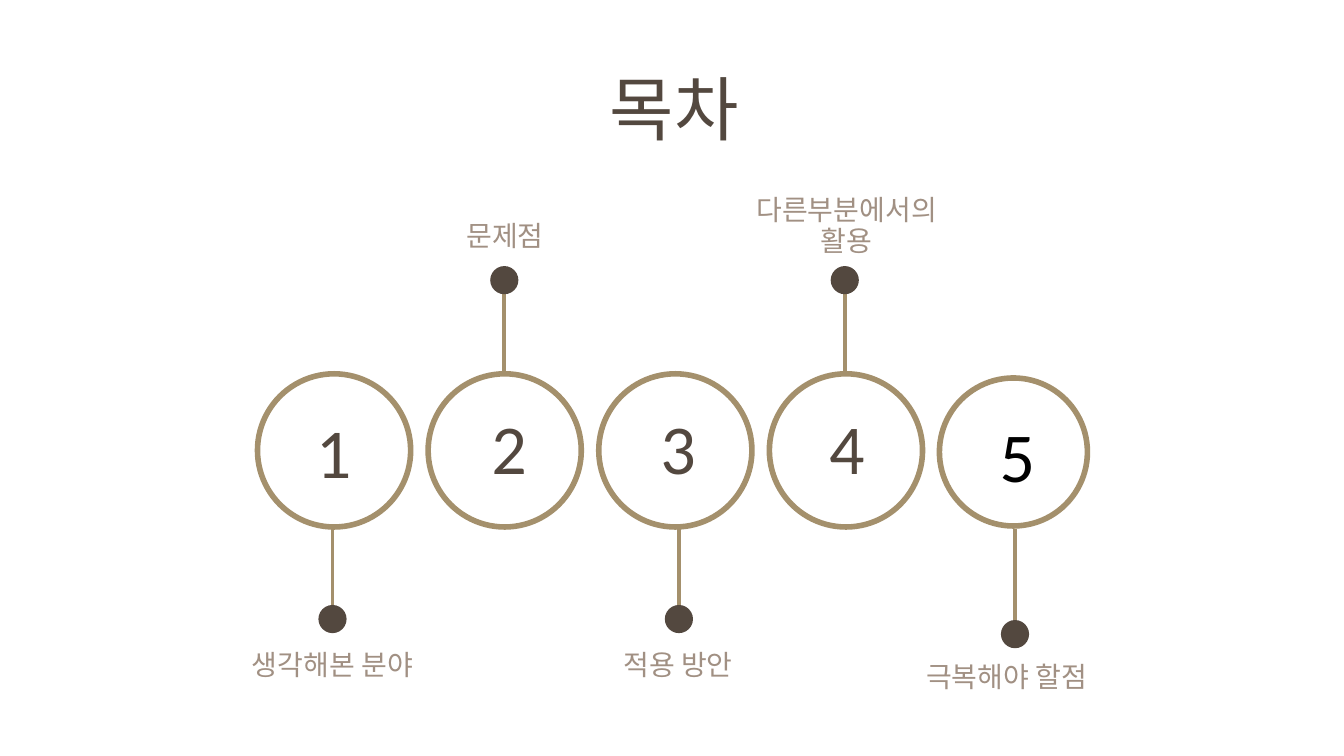
from dataclasses import dataclass

from lxml import etree
from pptx import Presentation
from pptx.dml.color import RGBColor
from pptx.enum.shapes import MSO_CONNECTOR, MSO_SHAPE
from pptx.enum.text import PP_ALIGN
from pptx.oxml.ns import qn
from pptx.shapes.autoshape import Shape
from pptx.slide import Slide
from pptx.util import Cm, Pt

ELLIPSE = MSO_SHAPE.OVAL
STRAIGHT = MSO_CONNECTOR.STRAIGHT
CENTER = PP_ALIGN.CENTER

WHITE = "FFFFFF"
BLACK = "000000"
GOLD = "A4906C"
BROWN = "53483F"
TAUPE = "A19083"

RING_PITCH = 4.3
FIRST_RING_X = 8.42
STEM_LENGTH = 2.66
DOT_SIZE = 0.71
DIGIT_WIDTH, DIGIT_HEIGHT = 1.42, 2.39
LABEL_WIDTH = 6.15


@dataclass
class Topic:
    """One agenda entry; lengths are in centimetres."""

    label: str
    label_x: float
    label_top: float
    label_height: float
    stem_x: float
    dot_y: float
    digit_x: float
    digit_top: float
    digit_color: str = BROWN
    ring_x_shift: float = 0
    ring_y: float = 11.35
    ring_size: float = 3.86


TOPICS = [
    Topic("생각해본 분야", 8.38, 16.26, 1.02, 8.38, 15.6, 8.41, 10.16),
    Topic("문제점", 12.73, 5.44, 1.02, 12.71, 7.06, 12.83, 10.06),
    Topic("적용 방안", 17.09, 16.26, 1.02, 17.11, 15.6, 17.09, 10.06),
    Topic("다른부분에서의 활용", 21.34, 4.78, 1.8, 21.29, 7.06, 21.34, 10.08),
    Topic("극복해야 할점", 25.37, 16.56, 1.02, 25.58, 15.98, 25.64, 10.26,
          BLACK, -0.08, 11.39, 3.73),
]


def rgb(color: str) -> RGBColor:
    return RGBColor.from_string(color)


def add_circle(slide: Slide, x: float, y: float, size: float, fill: str) -> Shape:
    """Draw a borderless circle centred on x, y."""
    circle = slide.shapes.add_shape(
        ELLIPSE, Cm(x - size / 2), Cm(y - size / 2), Cm(size), Cm(size))
    circle.shadow.inherit = False
    circle.fill.solid()
    circle.fill.fore_color.rgb = rgb(fill)
    circle.line.fill.background()
    return circle


def add_ring(slide: Slide, x: float, y: float, size: float) -> None:
    ring = add_circle(slide, x, y, size, WHITE)
    ring.line.color.rgb = rgb(GOLD)
    ring.line.width = Pt(4)


def add_stem(slide: Slide, x: float, start_y: float, end_y: float) -> None:
    stem = slide.shapes.add_connector(
        STRAIGHT, Cm(x), Cm(start_y), Cm(x), Cm(end_y))
    stem.line.color.rgb = rgb(GOLD)
    stem.line.width = Pt(2.75)
    properties = stem.element.find(qn("p:spPr"))
    etree.SubElement(properties, qn("a:effectLst"))


def add_text(slide: Slide, text: str, x: float, top: float, width: float,
             height: float, font: str, size: float, color: str,
             spacing: float | None = None, wrap: bool = True) -> None:
    """Place centred text in a box whose horizontal centre is x."""
    box = slide.shapes.add_textbox(
        Cm(x - width / 2), Cm(top), Cm(width), Cm(height))
    box.text_frame.word_wrap = wrap
    paragraph = box.text_frame.paragraphs[0]
    paragraph.text = text
    paragraph.alignment = CENTER
    if spacing is not None:
        paragraph.line_spacing = Pt(spacing)
    paragraph.font.name = font
    paragraph.font.size = Pt(size)
    paragraph.font.color.rgb = rgb(color)


def add_topic(slide: Slide, index: int, topic: Topic) -> None:
    ring_x = FIRST_RING_X + index * RING_PITCH + topic.ring_x_shift
    direction = 1 if topic.dot_y > topic.ring_y else -1
    stem_start = topic.dot_y - direction * STEM_LENGTH

    add_stem(slide, topic.stem_x, stem_start, topic.dot_y)
    add_ring(slide, ring_x, topic.ring_y, topic.ring_size)
    add_circle(slide, topic.stem_x, topic.dot_y, DOT_SIZE, BROWN)
    add_text(slide, str(index + 1), topic.digit_x, topic.digit_top, DIGIT_WIDTH,
             DIGIT_HEIGHT, "Calibri", 50, topic.digit_color, wrap=False)
    add_text(slide, topic.label, topic.label_x, topic.label_top, LABEL_WIDTH,
             topic.label_height, "Lato", 20, TAUPE, spacing=22.2)


def main() -> None:
    presentation = Presentation()
    presentation.slide_width = Cm(33.87)
    presentation.slide_height = Cm(19.05)
    slide = presentation.slides.add_slide(presentation.slide_layouts[6])

    add_text(slide, "목차", 16.99, 1.52, 15.24, 2.39, "Noto Sans CJK KR", 50, BROWN)
    for index, topic in enumerate(TOPICS):
        add_topic(slide, index, topic)

    presentation.save("out.pptx")


if __name__ == "__main__":
    main()
